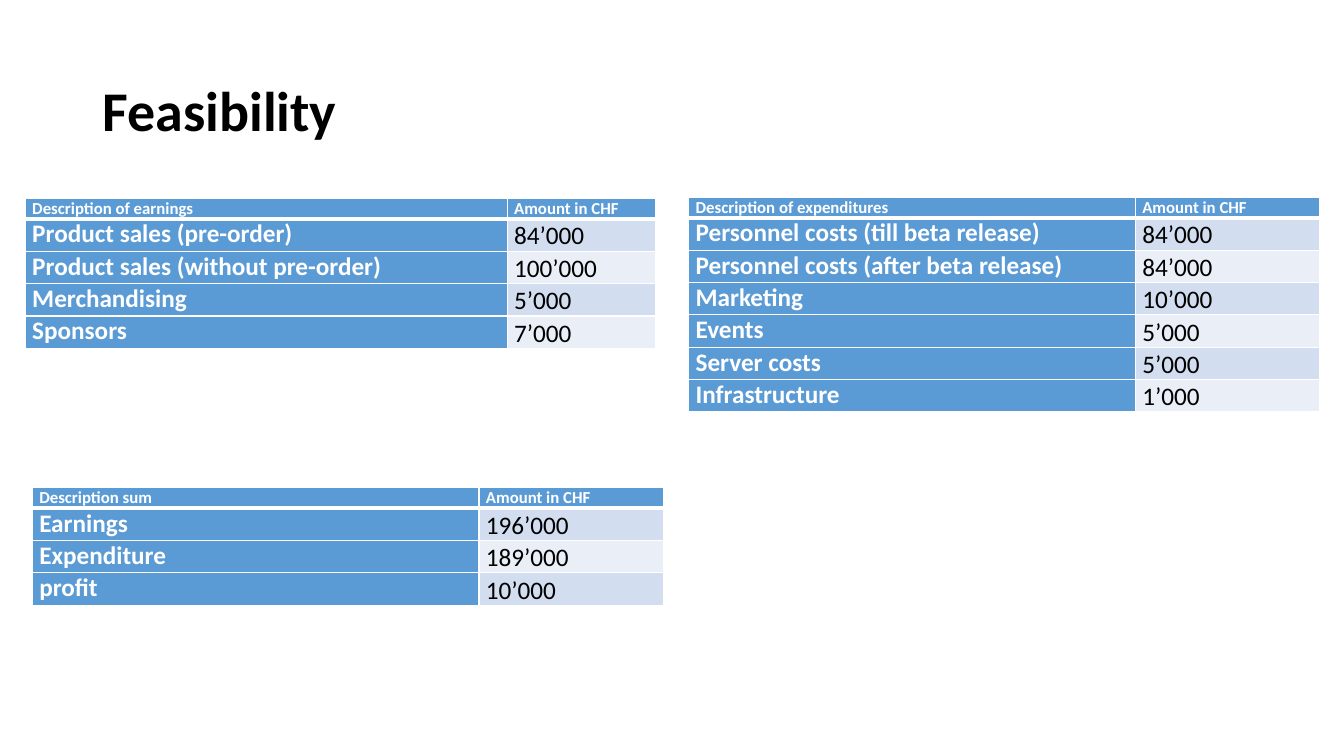
"""Build the feasibility slide with its earnings, expenditure and sum tables."""
import pptx
import pptx.dml.color
import pptx.enum.text
import pptx.oxml
import pptx.oxml.ns
import pptx.util

Inches, Pt = pptx.util.Inches, pptx.util.Pt

TITLE = "Feasibility"
AMOUNT = "Amount in CHF"
TABLES = [
    {"at": (0.25, 1.97), "cols": (4.78, 1.47), "rows": [
        ("Description of earnings", AMOUNT),
        ("Product sales (pre-order)", "84’000"),
        ("Product sales (without pre-order)", "100’000"),
        ("Merchandising", "5’000"),
        ("Sponsors", "7’000"),
    ]},
    {"at": (6.83, 1.96), "cols": (4.43, 1.83), "rows": [
        ("Description of expenditures", AMOUNT),
        ("Personnel costs (till beta release)", "84’000"),
        ("Personnel costs (after beta release)", "84’000"),
        ("Marketing", "10’000"),
        ("Events", "5’000"),
        ("Server costs", "5’000"),
        ("Infrastructure", "1’000"),
    ]},
    {"at": (0.32, 4.84), "cols": (4.43, 1.83), "rows": [
        ("Description sum", AMOUNT),
        ("Earnings", "196’000"),
        ("Expenditure", "189’000"),
        ("profit", "10’000"),
    ]},
]
THEME = {
    "font": "Calibri", "title": 40, "header": 12, "body": 18,
    "dark": "000000", "light": "FFFFFF", "accent": "5B9BD5",
    "bands": ("D2DEEF", "EAEFF7"),
}
HEADER_HEIGHT, ROW_HEIGHT = 0.2, 0.32


def rgb(value):
    return pptx.dml.color.RGBColor.from_string(value)


def add_run(p, text, size, color, bold):
    r = p.add_run()
    r.text = text
    r.font.name = THEME["font"]
    r.font.size = Pt(size)
    r.font.bold = bold
    r.font.color.rgb = rgb(color)


def set_borders(cell, top, bottom):
    tc_pr = cell._tc.get_or_add_tcPr()
    for side, width in (("L", 1), ("R", 1), ("T", top), ("B", bottom)):
        tc_pr.append(pptx.oxml.parse_xml(
            f'<a:ln{side} {pptx.oxml.ns.nsdecls("a")} w="{Pt(width)}">'
            f'<a:solidFill><a:srgbClr val="{THEME["light"]}"/></a:solidFill>'
            f'</a:ln{side}>'))


def fill_cell(cell, text, row, col):
    is_header = row == 0
    is_amount = col == 1 and not is_header
    cell.margin_left = cell.margin_right = Inches(0.07)
    cell.margin_top = cell.margin_bottom = 0
    set_borders(cell, 3 if row == 1 else 1, 3 if is_header else 1)
    cell.fill.solid()
    cell.fill.fore_color.rgb = rgb(
        THEME["bands"][(row - 1) % 2] if is_amount else THEME["accent"])
    p = cell.text_frame.paragraphs[0]
    if is_amount:
        p.line_spacing = 1.07
    add_run(p, text, THEME["header" if is_header else "body"],
            THEME["dark" if is_amount else "light"], not is_amount)


def add_amounts(s, at, cols, rows):
    heights = [HEADER_HEIGHT] + [ROW_HEIGHT] * (len(rows) - 1)
    table = s.shapes.add_table(
        len(rows), len(cols), Inches(at[0]), Inches(at[1]),
        Inches(sum(cols)), Inches(sum(heights))).table
    for column, width in zip(table.columns, cols):
        column.width = Inches(width)
    for i, values in enumerate(rows):
        table.rows[i].height = Inches(heights[i])
        for j, text in enumerate(values):
            fill_cell(table.cell(i, j), text, i, j)


def add_title(s):
    sp = s.shapes.add_textbox(Inches(0.92), Inches(0.4), Inches(11.5), Inches(1.45))
    tf = sp.text_frame
    tf.word_wrap = True
    tf.vertical_anchor = pptx.enum.text.MSO_ANCHOR.MIDDLE
    p = tf.paragraphs[0]
    p.line_spacing = 0.9
    add_run(p, TITLE, THEME["title"], THEME["dark"], True)


def main():
    prs = pptx.Presentation()
    prs.slide_width, prs.slide_height = Inches(13.33), Inches(7.5)
    s = prs.slides.add_slide(prs.slide_layouts[6])
    add_title(s)
    for table in TABLES:
        add_amounts(s, **table)
    prs.save("out.pptx")


if __name__ == "__main__":
    main()
